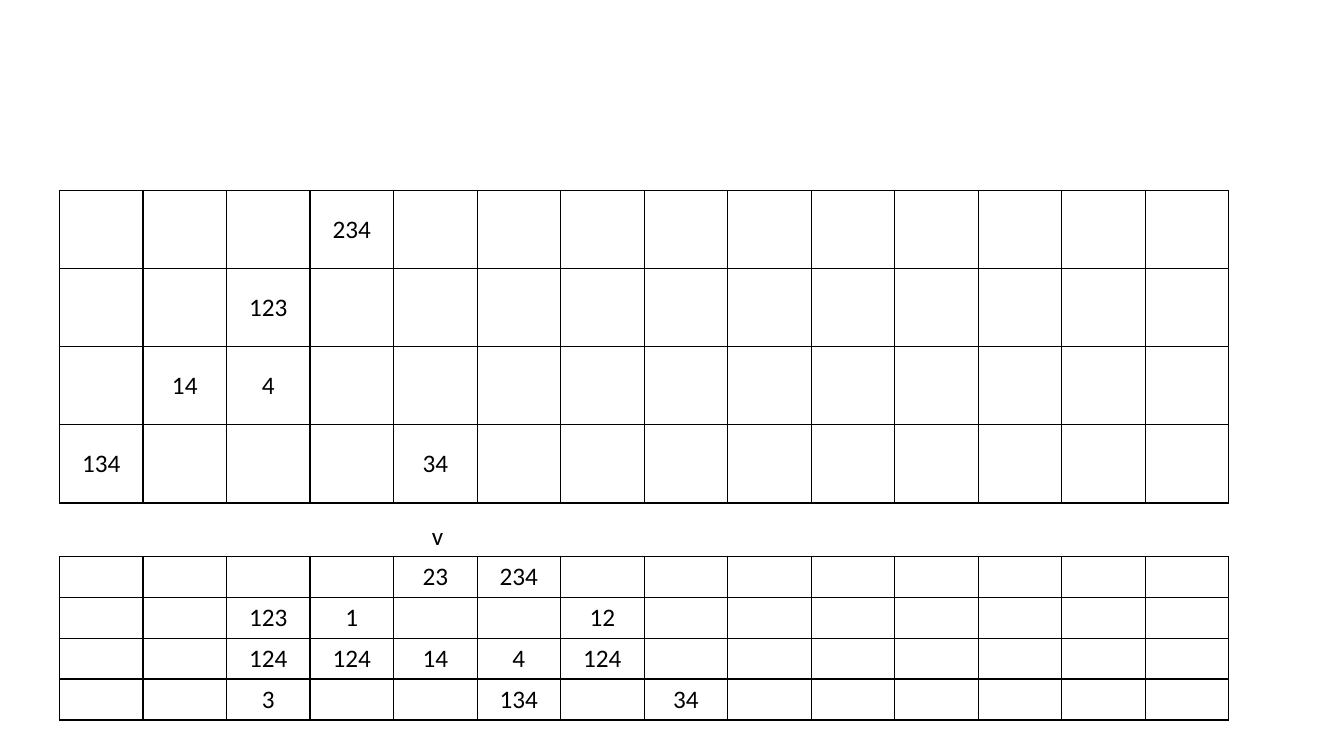
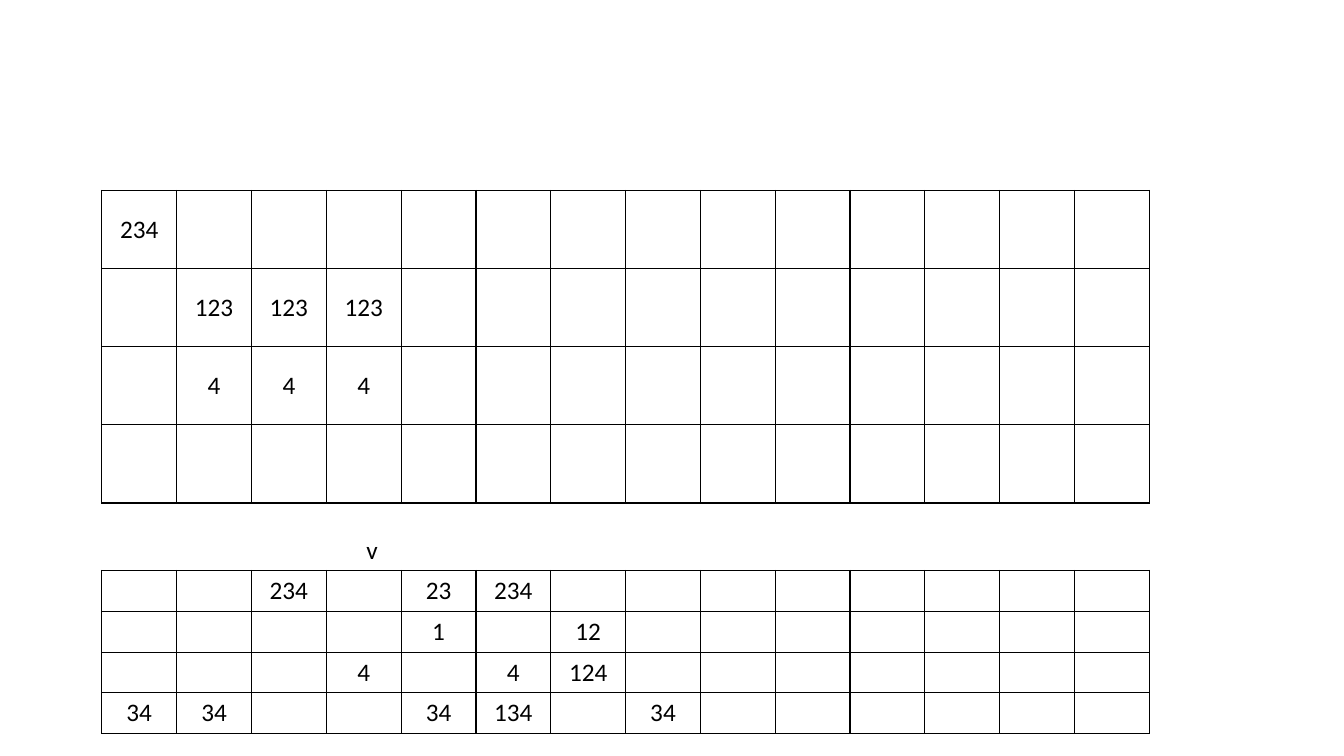
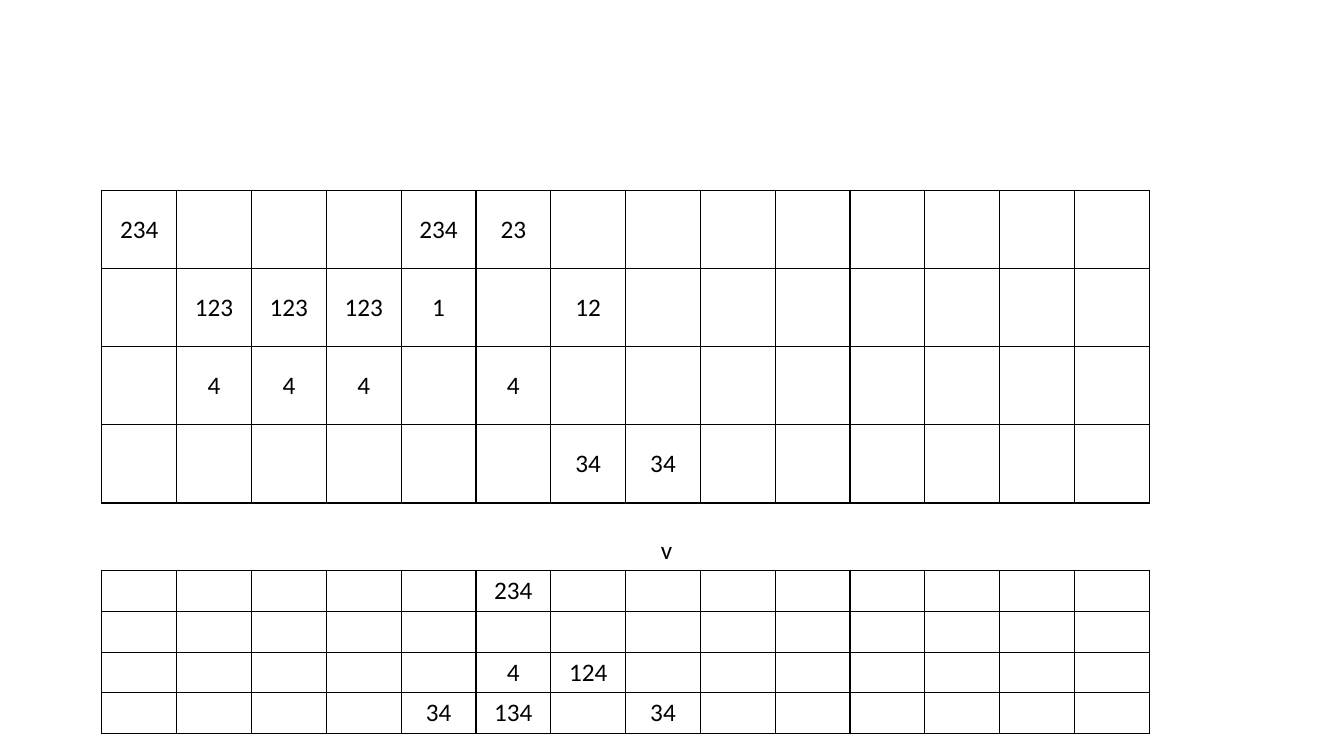
from pptx import Presentation
from pptx.dml.color import RGBColor
from pptx.enum.text import MSO_ANCHOR, MSO_AUTO_SIZE, PP_ALIGN
from pptx.oxml import parse_xml
from pptx.oxml.ns import nsdecls
from pptx.util import Inches, Pt

COLORS = {"ink": "000000", "paper": "FFFFFF"}
FONT, TEXT_SIZE = "Calibri", 18
BORDER_WIDTH = 1
COLUMNS = 14
UPPER_TOP, UPPER_HEIGHT = 1.89, 3.1
LOWER_HEIGHT = 1.62
MARKER_WIDTH, MARKER_HEIGHT, MARKER_RISE = 0.32, 0.4, 0.41

# Each grid row lists its leading cells; "-" is an empty cell.
PAGES = [
    {
        "left": 0.59, "width": 11.6, "lower_top": 5.52, "marker_left": 4.18,
        "upper_fill": "paper",
        "upper": ["- - - 234", "- - 123", "- 14 4", "134 - - - 34"],
        "lower": ["- - - - 23 234", "- - 123 1 - - 12",
                  "- - 124 124 14 4 124", "- - 3 - - 134 - 34"],
    },
    {
        "left": 1.01, "width": 10.39, "lower_top": 5.66, "marker_left": 3.53,
        "upper_fill": None,
        "upper": ["234", "- 123 123 123", "- 4 4 4", "-"],
        "lower": ["- - 234 - 23 234", "- - - - 1 - 12",
                  "- - - 4 - 4 124", "34 34 - - 34 134 - 34"],
    },
    {
        "left": 1.01, "width": 10.39, "lower_top": 5.66, "marker_left": 6.45,
        "upper_fill": None,
        "upper": ["234 - - - 234 23", "- 123 123 123 1 - 12",
                  "- 4 4 4 - 4", "- - - - - - 34 34"],
        "lower": ["- - - - - 234", "-", "- - - - - 4 124",
                  "- - - - 34 134 - 34"],
    },
]


def write_text(frame, text):
    para = frame.paragraphs[0]
    para.alignment = PP_ALIGN.CENTER
    span = para.add_run()
    span.text = text
    span.font.name = FONT
    span.font.size = Pt(TEXT_SIZE)
    span.font.color.rgb = RGBColor.from_string(COLORS["ink"])


def style_cell(cell, fill):
    cell.vertical_anchor = MSO_ANCHOR.MIDDLE
    properties = cell._tc.get_or_add_tcPr()
    # Borders come before the fill in the cell properties
    for side in ("lnL", "lnR", "lnT", "lnB"):
        properties.append(parse_xml(
            f'<a:{side} {nsdecls("a")} w="{Pt(BORDER_WIDTH)}"><a:solidFill>'
            f'<a:srgbClr val="{COLORS["ink"]}"/></a:solidFill></a:{side}>'))
    if fill:
        cell.fill.solid()
        cell.fill.fore_color.rgb = RGBColor.from_string(COLORS[fill])
    else:
        cell.fill.background()


def add_grid(page, box, rows, fill=None):
    left, top, width, height = (Inches(length) for length in box)
    table = page.shapes.add_table(
        len(rows), COLUMNS, left, top, width, height).table
    table.first_row = table.horz_banding = False
    for column in table.columns:
        column.width = round(width / COLUMNS)
    for cell in table.iter_cells():
        style_cell(cell, fill)
    for row_index, row in enumerate(rows):
        for column_index, text in enumerate(row.split()):
            if text != "-":
                write_text(table.cell(row_index, column_index).text_frame, text)


def add_marker(page, left, top):
    box = page.shapes.add_textbox(Inches(left), Inches(top),
                                  Inches(MARKER_WIDTH), Inches(MARKER_HEIGHT))
    box.text_frame.word_wrap = False
    box.text_frame.auto_size = MSO_AUTO_SIZE.SHAPE_TO_FIT_TEXT
    write_text(box.text_frame, "v")


def add_page(deck, content):
    page = deck.slides.add_slide(deck.slide_layouts[6])
    left, width, lower_top = (content[key] for key in ("left", "width", "lower_top"))
    # Upper grid, lower grid and the column marker between them
    add_grid(page, (left, UPPER_TOP, width, UPPER_HEIGHT),
             content["upper"], content["upper_fill"])
    add_grid(page, (left, lower_top, width, LOWER_HEIGHT), content["lower"])
    add_marker(page, content["marker_left"], lower_top - MARKER_RISE)


deck = Presentation()
deck.slide_width, deck.slide_height = Inches(13.33), Inches(7.5)
for content in PAGES:
    add_page(deck, content)
deck.save("out.pptx")
